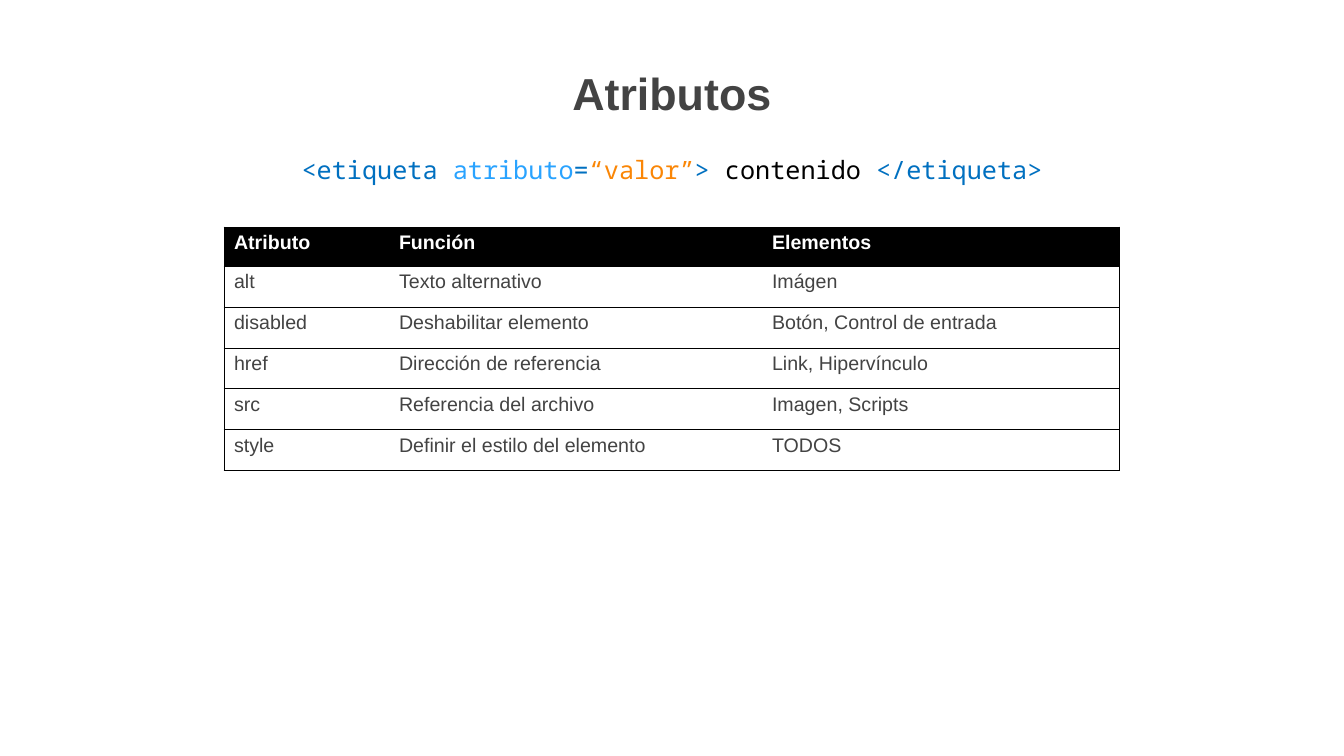
from dataclasses import dataclass

from lxml import etree
from pptx import Presentation
from pptx.dml.color import RGBColor
from pptx.enum.text import MSO_ANCHOR, MSO_AUTO_SIZE, PP_ALIGN
from pptx.oxml.ns import qn
from pptx.util import Emu, Pt

CENTER = PP_ALIGN.CENTER
LEFT = PP_ALIGN.LEFT
TOP = MSO_ANCHOR.TOP
MIDDLE = MSO_ANCHOR.MIDDLE
NO_AUTOFIT = MSO_AUTO_SIZE.NONE

BLACK = RGBColor(0x00, 0x00, 0x00)
WHITE = RGBColor(0xFF, 0xFF, 0xFF)
GRAY = RGBColor(0x43, 0x43, 0x43)
TAG_BLUE = RGBColor(0x00, 0x70, 0xC0)
ATTRIBUTE_BLUE = RGBColor(0x29, 0xA3, 0xFF)
VALUE_ORANGE = RGBColor(0xFA, 0x86, 0x06)

EMU_PER_PIXEL = 914400 / 100.8
TITLE_ONLY_LAYOUT = 5
BORDER_WIDTH = Pt(0.75)


def px(pixels: int) -> Emu:
    return Emu(round(pixels * EMU_PER_PIXEL))


@dataclass(frozen=True)
class Box:
    left: int
    top: int
    width: int
    height: int

    def emu(self) -> tuple[Emu, Emu, Emu, Emu]:
        return px(self.left), px(self.top), px(self.width), px(self.height)


@dataclass(frozen=True)
class TextStyle:
    font: str
    size: int
    color: RGBColor
    bold: bool = False


@dataclass(frozen=True)
class CodePart:
    text: str
    color: RGBColor


TITLE_BOX = Box(289, 51, 766, 83)
TITLE_STYLE = TextStyle("Arial", 32, GRAY, True)

CODE_BOX = Box(225, 134, 894, 51)
CODE_PARTS = [
    CodePart("<etiqueta ", TAG_BLUE),
    CodePart("atributo", ATTRIBUTE_BLUE),
    CodePart("=", TAG_BLUE),
    CodePart("“valor”", VALUE_ORANGE),
    CodePart("> ", TAG_BLUE),
    CodePart("contenido", BLACK),
    CodePart(" </etiqueta>", TAG_BLUE),
]

HEADER_STYLE = TextStyle("Arial", 14, WHITE, True)
BODY_STYLE = TextStyle("Arial", 14, GRAY)
COLUMN_WIDTHS = [165, 373, 358]
HEADER_HEIGHT = 39
ROW_HEIGHT = 41
ATTRIBUTE_ROWS = [
    ("Atributo", "Función", "Elementos"),
    ("alt", "Texto alternativo", "Imágen"),
    ("disabled", "Deshabilitar elemento", "Botón, Control de entrada"),
    ("href", "Dirección de referencia", "Link, Hipervínculo"),
    ("src", "Referencia del archivo", "Imagen, Scripts"),
    ("style", "Definir el estilo del elemento", "TODOS"),
]
TABLE_BOX = Box(224, 227, sum(COLUMN_WIDTHS),
                HEADER_HEIGHT + ROW_HEIGHT * (len(ATTRIBUTE_ROWS) - 1))


def set_all(target, values: dict) -> None:
    for name, value in values.items():
        setattr(target, name, value)


def add_run(paragraph, text: str, style: TextStyle) -> None:
    run = paragraph.add_run()
    run.text = text
    set_all(run.font, {"name": style.font, "size": Pt(style.size), "bold": style.bold})
    run.font.color.rgb = style.color


def set_borders(cell, visible: dict[str, bool]) -> None:
    properties = cell._tc.get_or_add_tcPr()
    for index, (tag, shown) in enumerate(visible.items()):
        line = etree.Element(qn(f"a:{tag}"), w=str(BORDER_WIDTH))
        if shown:
            fill = etree.SubElement(line, qn("a:solidFill"))
            etree.SubElement(fill, qn("a:srgbClr"), val=str(BLACK))
        else:
            etree.SubElement(line, qn("a:noFill"))
        properties.insert(index, line)


def add_title(slide) -> None:
    title = slide.shapes.title
    left, top, width, height = TITLE_BOX.emu()
    set_all(title, {"left": left, "top": top, "width": width, "height": height})
    set_all(title.text_frame, {"vertical_anchor": MIDDLE, "word_wrap": True,
                               "auto_size": NO_AUTOFIT})
    paragraph = title.text_frame.paragraphs[0]
    paragraph.alignment = CENTER
    add_run(paragraph, "Atributos", TITLE_STYLE)


def add_code_line(slide) -> None:
    frame = slide.shapes.add_textbox(*CODE_BOX.emu()).text_frame
    set_all(frame, {"word_wrap": True, "vertical_anchor": TOP, "auto_size": NO_AUTOFIT})
    paragraph = frame.paragraphs[0]
    set_all(paragraph, {"alignment": CENTER, "line_spacing": 1.5})
    for part in CODE_PARTS:
        add_run(paragraph, part.text, TextStyle("Noto Sans Mono", 18, part.color))


def add_attribute_table(slide) -> None:
    last_column = len(COLUMN_WIDTHS) - 1
    table = slide.shapes.add_table(
        len(ATTRIBUTE_ROWS), len(COLUMN_WIDTHS), *TABLE_BOX.emu()).table
    set_all(table, {"first_row": False, "horz_banding": False})
    for column, width in zip(table.columns, COLUMN_WIDTHS):
        column.width = px(width)
    for row_index, texts in enumerate(ATTRIBUTE_ROWS):
        is_header = row_index == 0
        table.rows[row_index].height = px(HEADER_HEIGHT if is_header else ROW_HEIGHT)
        for column_index, text in enumerate(texts):
            cell = table.cell(row_index, column_index)
            cell.vertical_anchor = TOP
            if is_header:
                cell.fill.solid()
                cell.fill.fore_color.rgb = BLACK
            else:
                cell.fill.background()
            set_borders(cell, {"lnL": column_index == 0,
                               "lnR": column_index == last_column,
                               "lnT": True, "lnB": True})
            paragraph = cell.text_frame.paragraphs[0]
            paragraph.alignment = LEFT
            add_run(paragraph, text, HEADER_STYLE if is_header else BODY_STYLE)


# Slide
presentation = Presentation()
set_all(presentation, {"slide_width": px(1344), "slide_height": px(756)})
slide = presentation.slides.add_slide(presentation.slide_layouts[TITLE_ONLY_LAYOUT])
slide.background.fill.solid()
slide.background.fill.fore_color.rgb = WHITE

# Content
add_title(slide)
add_code_line(slide)
add_attribute_table(slide)

presentation.save("out.pptx")
